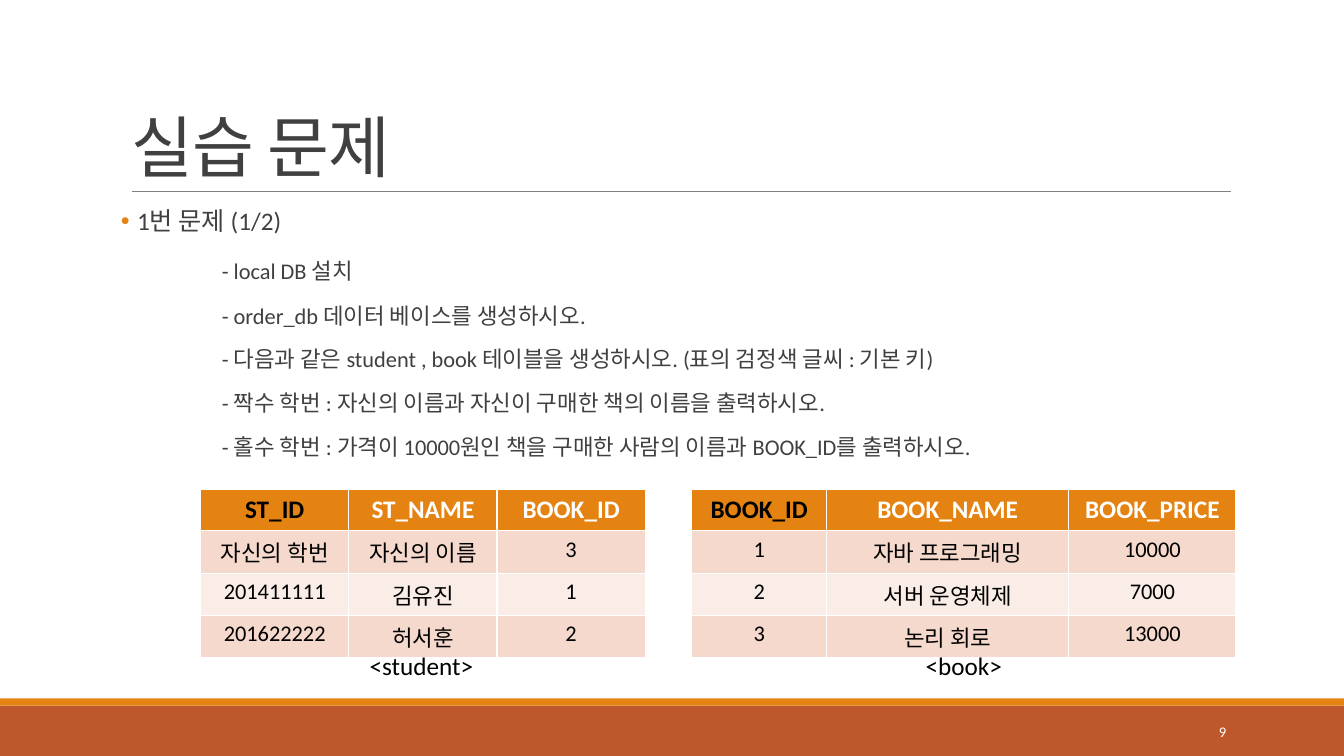
from lxml.etree import SubElement
from pptx import Presentation
from pptx.dml.color import RGBColor
from pptx.enum.shapes import MSO_CONNECTOR, MSO_SHAPE
from pptx.enum.text import MSO_ANCHOR, MSO_AUTO_SIZE, PP_ALIGN
from pptx.oxml.ns import qn
from pptx.util import Pt

EMU_PER_PX = 9144  # 100 px to the inch
FONT = "Calibri"
COLORS = {
    "orange": "E48312", "rust": "BD582C", "rule": "808080", "text": "404040",
    "black": "000000", "white": "FFFFFF", "band_dark": "F5D9CC", "band_light": "FAEDE7",
}
TASKS = [
    "- local DB 설치",
    "- order_db 데이터 베이스를 생성하시오.",
    "- 다음과 같은 student , book 테이블을 생성하시오. (표의 검정색 글씨 : 기본 키)",
    "- 짝수 학번 : 자신의 이름과 자신이 구매한 책의 이름을 출력하시오.",
    "- 홀수 학번 : 가격이 10000원인 책을 구매한 사람의 이름과 BOOK_ID를 출력하시오.",
]
STUDENT_ROWS = [
    ["ST_ID", "ST_NAME", "BOOK_ID"],
    ["자신의 학번", "자신의 이름", "3"],
    ["201411111", "김유진", "1"],
    ["201622222", "허서훈", "2"],
]
BOOK_ROWS = [
    ["BOOK_ID", "BOOK_NAME", "BOOK_PRICE"],
    ["1", "자바 프로그래밍", "10000"],
    ["2", "서버 운영체제", "7000"],
    ["3", "논리 회로", "13000"],
]


def px(value):
    return value * EMU_PER_PX


def color(name):
    return RGBColor.from_string(COLORS[name])


def write(paragraph, text, size=18, ink="black", bold=False, align=PP_ALIGN.LEFT,
          line_spacing=None, before=None, after=None, tracking=None):
    """Put one formatted run into a paragraph."""
    paragraph.alignment = align
    if line_spacing:
        paragraph.line_spacing = line_spacing
    if before is not None:
        paragraph.space_before = Pt(before)
    if after is not None:
        paragraph.space_after = Pt(after)
    run = paragraph.add_run()
    run.text = text
    run.font.name = FONT
    run.font.size = Pt(size)
    run.font.bold = bold
    run.font.color.rgb = color(ink)
    if tracking is not None:
        run.font._element.set("spc", str(tracking))


def set_indent(paragraph, left, first=0, bullet=None):
    properties = paragraph._p.get_or_add_pPr()
    properties.set("marL", str(px(left)))
    properties.set("indent", str(px(first)))
    if bullet:
        bullet_color = SubElement(properties, qn("a:buClr"))
        SubElement(bullet_color, qn("a:srgbClr"), val=COLORS["orange"])
        SubElement(properties, qn("a:buChar"), char=bullet)
    else:
        SubElement(properties, qn("a:buNone"))


def place(shape, left, top, width, height):
    shape.left, shape.top, shape.width, shape.height = map(px, (left, top, width, height))


def add_bar(slide, top, height, fill):
    bar = slide.shapes.add_shape(MSO_SHAPE.RECTANGLE, 0, px(top), px(1333), px(height))
    bar.shadow.inherit = False
    bar.fill.solid()
    bar.fill.fore_color.rgb = color(fill)
    bar.line.fill.background()


def add_rule(slide, left, right, top):
    rule = slide.shapes.add_connector(
        MSO_CONNECTOR.STRAIGHT, px(left), px(top), px(right), px(top))
    rule.line.color.rgb = color("rule")
    rule.line.width = Pt(0.5)
    SubElement(rule._element.spPr, qn("a:effectLst"))


def add_label(slide, text, left, top, width, anchor=MSO_ANCHOR.TOP, **text_format):
    label = slide.shapes.add_textbox(px(left), px(top), px(width), px(40))
    label.text_frame.word_wrap = True
    label.text_frame.vertical_anchor = anchor
    write(label.text_frame.paragraphs[0], text, **text_format)


def add_data_table(slide, rows, left, column_widths):
    """Header row in orange with the key column in black, then banded rows."""
    table = slide.shapes.add_table(
        len(rows), len(column_widths), px(left), px(486),
        px(sum(column_widths)), px(150)).table
    for column, width in zip(table.columns, column_widths):
        column.width = px(width)
    for row_index, values in enumerate(rows):
        is_header = row_index == 0
        table.rows[row_index].height = px(39 if is_header else 37)
        band = "band_dark" if row_index % 2 else "band_light"
        for column_index, value in enumerate(values):
            cell = table.cell(row_index, column_index)
            cell.fill.solid()
            cell.fill.fore_color.rgb = color("orange" if is_header else band)
            write(cell.text_frame.paragraphs[0], value,
                  size=18 if is_header else 16, bold=is_header, align=PP_ALIGN.CENTER,
                  ink="white" if is_header and column_index else "black")


def fill_title(title):
    place(title, 120, 31, 1100, 159)
    title.text_frame.auto_size = MSO_AUTO_SIZE.NONE
    title.text_frame.vertical_anchor = MSO_ANCHOR.BOTTOM
    write(title.text_frame.paragraphs[0], "실습 문제", size=48, ink="text",
          line_spacing=0.85, tracking=-50)


def fill_body(body):
    place(body, 120, 202, 1100, 440)
    frame = body.text_frame
    frame.auto_size = MSO_AUTO_SIZE.NONE
    frame.margin_left = frame.margin_right = 0
    heading = frame.paragraphs[0]
    write(heading, "1번 문제 (1/2)", ink="text", line_spacing=0.9, before=12, after=2)
    set_indent(heading, 16, -16, bullet="•")
    for index, task in enumerate(TASKS):
        paragraph = frame.add_paragraph()
        # The first task stands a little apart from its neighbours
        write(paragraph, task, size=16, ink="text", line_spacing=0.9,
              before=12 if index else 15, after=2 if index else 3)
        set_indent(paragraph, 100)


def main():
    presentation = Presentation()
    presentation.slide_width, presentation.slide_height = px(1333), px(750)
    slide = presentation.slides.add_slide(presentation.slide_layouts[1])

    # Footer bars and title rule
    add_bar(slide, 700, 50, "rust")
    add_bar(slide, 693, 7, "orange")
    add_rule(slide, 131, 1221, 190)

    # Title and task list
    fill_title(slide.shapes.title)
    fill_body(slide.placeholders[1])

    # Tables with captions
    add_data_table(slide, STUDENT_ROWS, 199, [147, 147, 147])
    add_data_table(slide, BOOK_ROWS, 686, [134, 240, 166])
    for caption, left in (("<student>", 320), ("<book>", 858)):
        add_label(slide, caption, left, 640, 196, align=PP_ALIGN.CENTER)

    # Page number
    add_label(slide, "9", 1083, 706, 143, anchor=MSO_ANCHOR.MIDDLE,
              size=10.5, ink="white", align=PP_ALIGN.RIGHT)

    presentation.save("out.pptx")


if __name__ == "__main__":
    main()
